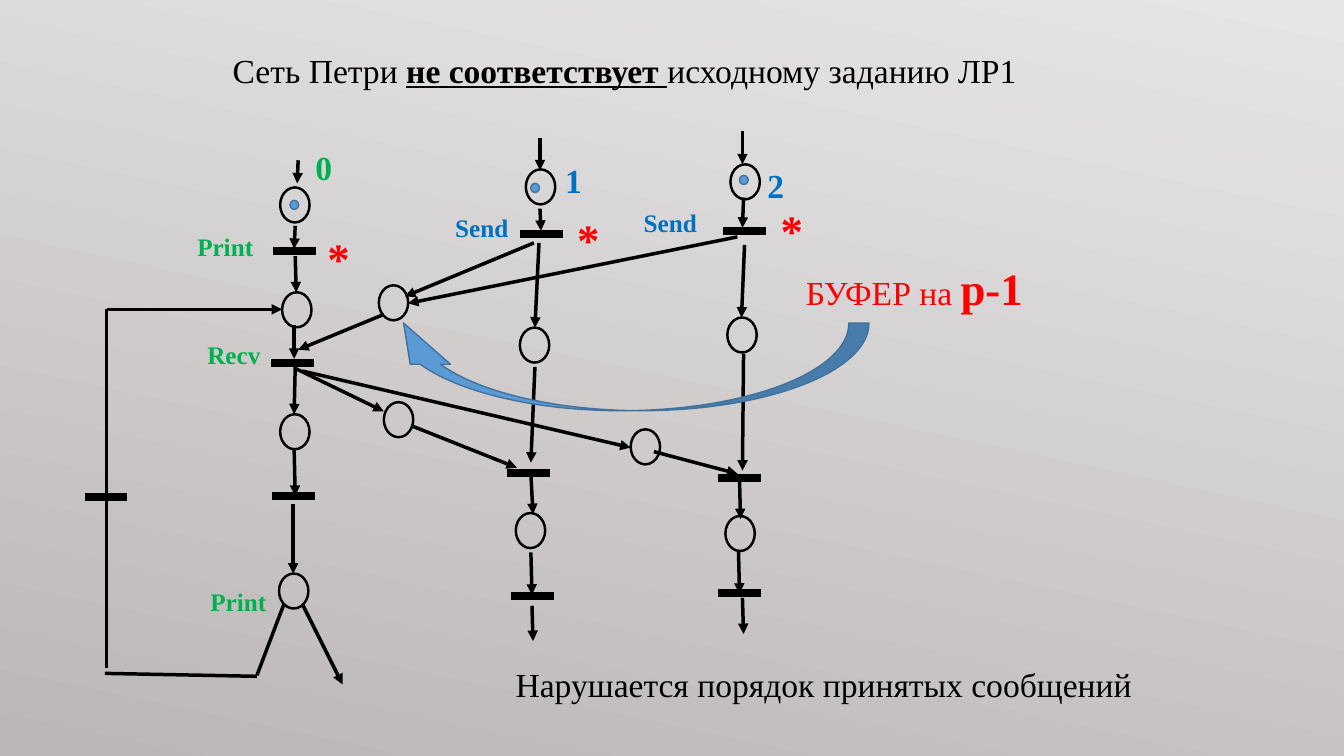
from pptx import Presentation
from pptx.dml.color import RGBColor as Rgb
from pptx.enum.shapes import MSO_CONNECTOR as Link, MSO_SHAPE as Kind
from pptx.enum.text import MSO_ANCHOR as Anchor, MSO_AUTO_SIZE as Fit, PP_ALIGN as Align
from pptx.oxml.ns import qn
from pptx.util import Pt
from lxml.etree import SubElement as Sub

FONT = "Times New Roman"
BLACK, RED, GREEN, BLUE = "000000", "FF0000", "00B050", "0070C0"
SKY, NAVY = "5B9BD5", "41719C"

PLACES = [
    (200.2, 133.9), (201.6, 208.8), (200.2, 295.9), (199.4, 409.7),
    (375.8, 121), (371.5, 234), (368.6, 366.5),
    (522, 117.4), (519.8, 226.8), (518.4, 368.6),
    (270.7, 203.8), (274.3, 287.3), (450.7, 306.7),
]
TOKENS = [(207.2, 143.1), (379.3, 131), (528.5, 125.3)]
BARS = [
    (195.1, 179.6), (193.7, 259.2), (194.4, 354.6), (60.5, 355.3),
    (371.5, 167), (362.2, 338.2), (365, 425.5),
    (517, 164.9), (513.4, 341.3), (513.4, 423.7),
]
ARROWS = [
    (213.1, 114.5, 212.4, 131), (211, 161.3, 210.2, 177.8),
    (211, 182.9, 211.7, 208.8), (210.2, 231.8, 210.2, 256.3),
    (211, 261.4, 210.2, 295.9), (210.2, 320.4, 211, 354.2),
    (209.5, 360, 209.5, 409.7), (216.7, 432.7, 244.8, 488.9),
    (76.3, 221, 201.6, 221),
    (385.9, 98.6, 385.9, 121.7), (385.9, 149, 386.6, 164.9),
    (385.2, 173.5, 382.3, 234), (382.3, 262.1, 379.4, 330.5),
    (379.4, 338.4, 380.9, 367.2), (379.4, 394.6, 380.2, 424.8),
    (380.2, 432.7, 380.9, 457.9),
    (530.6, 93.6, 530.6, 117.4), (531.4, 141.1, 530.6, 162.7),
    (532.1, 175, 529.9, 226.8), (531.4, 252.7, 530.6, 336.2),
    (528.5, 342, 529.2, 370.8), (527.8, 393.8, 528.5, 424.1),
    (530.6, 427, 531.4, 452.9),
    (381.6, 173.5, 289.4, 211.7), (527, 169.2, 291.6, 216.7),
    (274.3, 224.6, 213.1, 249.8), (211.7, 263.5, 274.3, 293.8),
    (216, 265, 450.7, 319.7), (295.2, 304.6, 369.4, 334.1),
    (467.3, 322.6, 527, 338.4),
]
LOOP = [
    (203, 431.3, 183.6, 482.4), (76.3, 221, 76.3, 477.4),
    (74.9, 481, 183.6, 483.1),
]
LABELS = [
    ("0", 218.2, 101.5, 32, 24, GREEN), ("1", 396.7, 110.9, 37, 24, BLUE),
    ("2", 541.4, 114.5, 37, 24, BLUE),
    ("Print", 133.9, 162, 64, 18, GREEN), ("Recv", 141.1, 239, 64, 18, GREEN),
    ("Print", 143.3, 415.4, 64, 18, GREEN),
    ("Send", 318.2, 148.3, 64, 18, BLUE), ("Send", 452.9, 144.7, 64, 18, BLUE),
    ("*", 226.8, 161.3, 27, 32, RED), ("*", 405.4, 147.6, 27, 32, RED),
    ("*", 550.8, 141.1, 27, 32, RED),
]


def color(text):
    return Rgb.from_string(text)


def box(area):
    return [Pt(v) for v in area]


def line(slide, ends, width, arrow=False):
    link = slide.shapes.add_connector(Link.STRAIGHT, *box(ends))
    link.line.color.rgb = color(BLACK)
    link.line.width = Pt(width)
    if arrow:
        Sub(link.line._get_or_add_ln(), qn("a:tailEnd"), type="triangle")
    Sub(link._element.spPr, qn("a:effectLst"))


def shape(slide, kind, area, fill=None, edge=BLACK, width=1.75):
    item = slide.shapes.add_shape(kind, *box(area))
    item.shadow.inherit = False
    if fill:
        item.fill.solid()
        item.fill.fore_color.rgb = color(fill)
    else:
        item.fill.background()
    item.line.color.rgb = color(edge)
    item.line.width = Pt(width)
    return item


def write(frame, parts):
    frame.word_wrap = True
    frame.auto_size = Fit.NONE
    frame.vertical_anchor = Anchor.TOP
    para = frame.paragraphs[0]
    para.alignment = Align.LEFT
    for text, size, tone, bold, under in parts:
        run = para.add_run()
        run.text = text
        font = run.font
        font.name, font.size, font.bold = FONT, Pt(size), bold
        font.underline = under
        font.color.rgb = color(tone)


def label(slide, area, *parts):
    write(slide.shapes.add_textbox(*box(area)).text_frame, parts)


def title(slide):
    head = slide.shapes.title
    head.left, head.top, head.width, head.height = box((159.1, 31.7, 670.3, 36))
    write(head.text_frame, [
        ("Сеть Петри ", 24, BLACK, False, False),
        ("не соответствует ", 24, BLACK, True, True),
        ("исходному заданию ЛР1", 24, BLACK, False, False),
    ])


def ground(slide):
    fill = slide.background.fill
    fill.gradient()
    fill.gradient_angle = 258
    for stop, tone in zip(fill.gradient_stops, ("E7E6E6", "BCB7B7")):
        stop.color.rgb = color(tone)


def swoop(slide):
    item = shape(slide, Kind.CURVED_LEFT_ARROW, (416.2, 88.6, 62.6, 347), SKY, NAVY, 1)
    item.rotation = 90
    for i, part in enumerate((0.23, 0.46, 0.47)):
        item.adjustments[i] = part


def main():
    deck = Presentation()
    deck.slide_width, deck.slide_height = Pt(960.48), Pt(540)
    slide = deck.slides.add_slide(deck.slide_layouts[5])
    ground(slide)
    title(slide)
    for x, y in TOKENS:
        shape(slide, Kind.OVAL, (x, y, 6.2, 6.5), SKY, NAVY, 1)
    for x, y in PLACES:
        shape(slide, Kind.OVAL, (x, y, 21, 25))
    for x, y in BARS:
        line(slide, (x, y, x + 30.6, y), 5.75)
    for ends in ARROWS:
        line(slide, ends, 2.5, True)
    for ends in LOOP:
        line(slide, ends, 2.5)
    swoop(slide)
    for text, x, y, width, size, tone in LABELS:
        label(slide, (x, y, width, size * 1.2 + 7.2), (text, size, tone, True, False))
    label(slide, (568.8, 182.9, 178.6, 46),
          ("БУФЕР на ", 24, RED, False, False), ("p-1", 32, RED, True, False))
    label(slide, (361.4, 470.9, 527, 36),
          ("Нарушается порядок принятых сообщений", 24, BLACK, False, False))
    deck.save("out.pptx")


if __name__ == "__main__":
    main()
